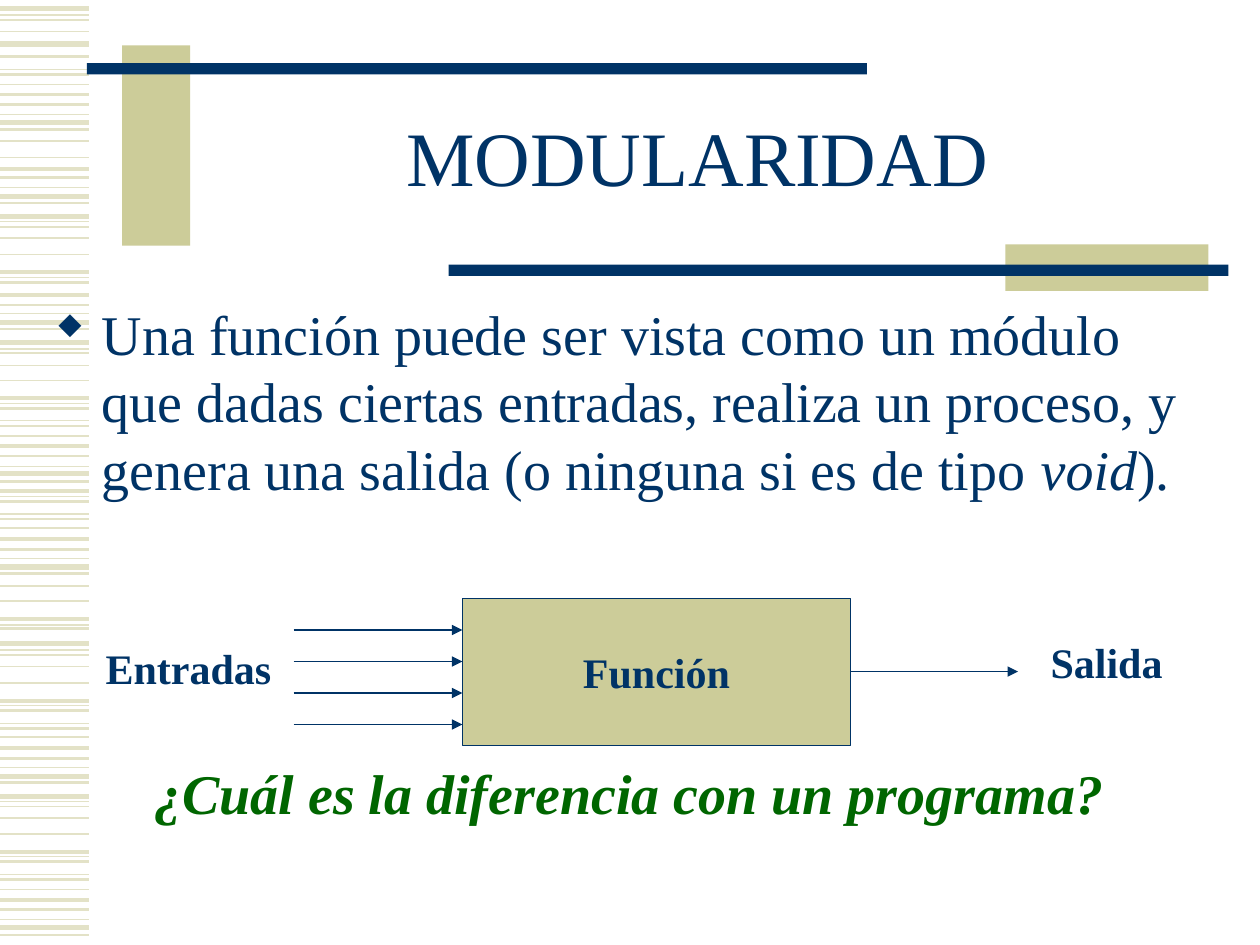
from lxml.etree import SubElement
from pptx import Presentation
from pptx.dml.color import RGBColor
from pptx.enum.shapes import MSO_CONNECTOR as Link, MSO_SHAPE as Kind
from pptx.enum.text import MSO_ANCHOR as Anchor, MSO_AUTO_SIZE as Fit, PP_ALIGN as Align
from pptx.oxml.ns import qn
from pptx.util import Inches, Pt

FONT = "Times New Roman"
HUES = {"navy": "003366", "khaki": "CCCC99", "pale": "E3E2C7", "green": "006600"}

# Heights of the margin stripes, by line width in points
STRIPES = {
    3: [0.07, 0.35, 0.97, 1.56, 1.72, 2.56, 2.72, 3.76, 4.5, 5.11, 6.16, 6.32,
        7.36],
    2.25: [0.75, 1.34, 2.16, 2.34, 3.16, 3.54, 3.9, 4.28, 4.91, 5.56, 5.94,
           6.76, 7.14],
    1.5: [0.45, 0.59, 0.83, 1.03, 1.41, 1.61, 2.24, 2.42, 2.61, 3.24, 3.38,
          3.62, 3.82, 3.98, 4.12, 4.36, 4.55, 4.99, 5.64, 5.78, 6.02, 6.21,
          6.84, 6.98, 7.22, 7.42],
    1: [0.16, 0.25, 0.67, 1.12, 1.25, 1.8, 1.89, 2.02, 2.8, 2.9, 3.02, 3.46,
        4.19, 4.65, 4.77, 5.2, 5.29, 5.42, 5.85, 6.4, 6.49, 6.62, 7.06],
    0.75: [0.12, 0.55, 0.91, 1.49, 1.76, 2.2, 2.49, 2.77, 3.2, 3.34, 3.7, 3.94,
           4.08, 4.43, 4.96, 5.16, 5.6, 5.74, 6.09, 6.36, 6.8, 6.94, 7.3],
}
# Header blocks and bars: left, top, width, height, colour
BLOCKS = [
    (0.97, 0.36, 0.54, 1.59, "khaki"),
    (0.69, 0.5, 6.19, 0.09, "navy"),
    (7.98, 1.94, 1.61, 0.37, "khaki"),
    (3.56, 2.1, 6.19, 0.09, "navy"),
]


def tint(name):
    return RGBColor.from_string(HUES[name])


def add_line(slide, left, right, y, hue, width, arrow=False):
    line = slide.shapes.add_connector(
        Link.STRAIGHT, Inches(left), Inches(y), Inches(right), Inches(y))
    line.line.color.rgb = tint(hue)
    line.line.width = Pt(width)
    if arrow:
        SubElement(line.line._get_or_add_ln(), qn("a:tailEnd"), type="triangle")
    SubElement(line._element.spPr, qn("a:effectLst"))


def add_rect(slide, left, top, width, height, hue, edge=None):
    rect = slide.shapes.add_shape(
        Kind.RECTANGLE, Inches(left), Inches(top), Inches(width), Inches(height))
    rect.shadow.inherit = False
    rect.fill.solid()
    rect.fill.fore_color.rgb = tint(hue)
    if edge:
        rect.line.color.rgb = tint(edge)
        rect.line.width = Pt(0.75)
    else:
        rect.line.fill.background()
    return rect


def add_run(para, text, size, hue="navy", bold=False, italic=False):
    run = para.add_run()
    run.text = text
    font = run.font
    font.name, font.size = FONT, Pt(size)
    font.bold, font.italic = bold, italic
    font.color.rgb = tint(hue)


def add_box(slide, left, top, width, height, wrap=True):
    box = slide.shapes.add_textbox(
        Inches(left), Inches(top), Inches(width), Inches(height))
    frame = box.text_frame
    frame.word_wrap = wrap
    if not wrap:
        frame.auto_size = Fit.SHAPE_TO_FIT_TEXT
    return frame.paragraphs[0]


def add_bullet(para, indent):
    props = para._p.get_or_add_pPr()
    props.set("marL", str(Inches(indent)))
    props.set("indent", str(-Inches(indent)))
    hue = SubElement(props, qn("a:buClr"))
    SubElement(hue, qn("a:srgbClr"), val=HUES["navy"])
    # The letter w is the diamond of this symbol font
    SubElement(props, qn("a:buFont"), typeface="Wingdings", charset="2")
    SubElement(props, qn("a:buChar"), char="w")


def set_title(slide, text):
    title = slide.shapes.title
    title.left, title.top = Inches(1.5), Inches(0.67)
    title.width, title.height = Inches(8.07), Inches(1.25)
    title.text_frame.vertical_anchor = Anchor.MIDDLE
    para = title.text_frame.paragraphs[0]
    para.alignment = Align.CENTER
    para.line_spacing = 0.85
    add_run(para, text, 44)


def draw_frame(slide):
    for width, rows in STRIPES.items():
        for y in rows:
            add_line(slide, 0, 0.71, y, "pale", width)
    for block in BLOCKS:
        add_rect(slide, *block)


def draw_text(slide):
    para = add_box(slide, 0.33, 2.33, 9.33, 1.75)
    add_bullet(para, 0.38)
    add_run(para, "Una función puede ser vista como un módulo que dadas ciertas "
                  "entradas, realiza un proceso, y genera una salida "
                  "(o ninguna si es de tipo ", 32)
    add_run(para, "void", 32, italic=True)
    add_run(para, ").", 32)

    para = add_box(slide, 0.33, 5.97, 9.33, 0.63)
    para.alignment = Align.CENTER
    add_run(para, "¿Cuál es la diferencia con un programa?", 32, "green",
            bold=True, italic=True)


def draw_flow(slide):
    # Function box
    rect = add_rect(slide, 3.67, 4.75, 3.08, 1.17, "khaki", "navy")
    rect.text_frame.vertical_anchor = Anchor.MIDDLE
    para = rect.text_frame.paragraphs[0]
    para.alignment = Align.CENTER
    add_run(para, "Función", 24, bold=True)

    # Four inputs and one output
    for row in range(4):
        add_line(slide, 2.33, 3.67, 5 + row * 0.25, "navy", 0.75, arrow=True)
    add_line(slide, 6.75, 8.08, 5.33, "navy", 0.75, arrow=True)

    # Labels
    for text, left, top, width in [("Entradas", 0.74, 5.05, 1.53),
                                   ("Salida", 8.24, 5, 1.1)]:
        add_run(add_box(slide, left, top, width, 0.5, wrap=False), text, 24,
                bold=True)


def main():
    deck = Presentation()
    deck.slide_width, deck.slide_height = Inches(10), Inches(7.5)
    slide = deck.slides.add_slide(deck.slide_layouts[5])
    draw_frame(slide)
    set_title(slide, "MODULARIDAD")
    draw_text(slide)
    draw_flow(slide)
    deck.save("out.pptx")


if __name__ == "__main__":
    main()
